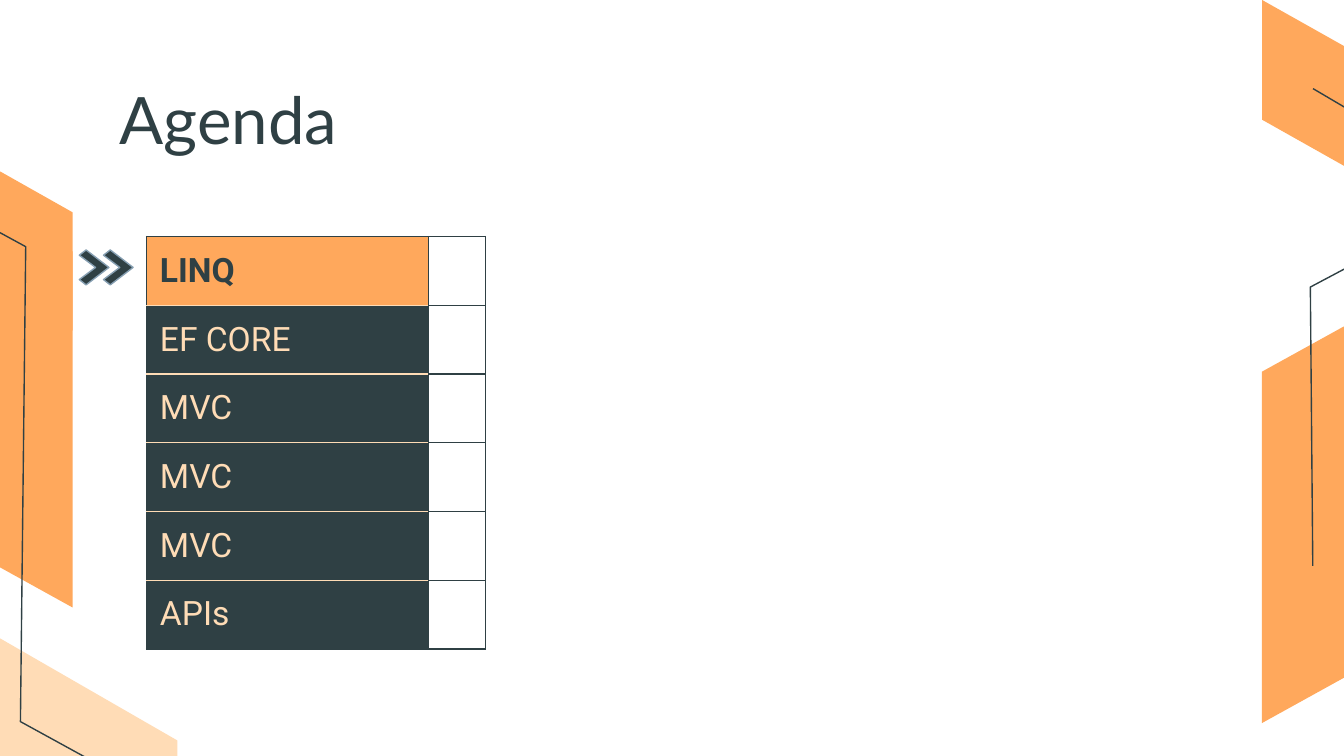
import pptx
import pptx.util
import pptx.dml.color
import pptx.enum.text
import pptx.oxml
import pptx.oxml.ns

HUES = {"dark": "2F4044", "warm": "FFA85C", "pale": "FFDCB6", "edge": "869FB2"}
WIDE, HIGH = pptx.util.Inches(10), pptx.util.Inches(5.625)
TOPICS = ["LINQ", "EF CORE", "MVC", "MVC", "MVC", "APIs"]
THIN = pptx.util.Pt(0.75)


def hue(name):
    """Return the named colour."""
    return pptx.dml.color.RGBColor.from_string(HUES[name])


def scale(box):
    """Turn a box in percent of the slide into whole EMU."""
    left, top, width, height = box
    return [round(part * side / 100) for part, side in
            ((left, WIDE), (top, HIGH), (width, WIDE), (height, HIGH))]


def draw(slide, box, dots, fill=None, line=None):
    """Draw an outline whose points are shares of the box, closed if filled."""
    left, top, width, height = scale(box)
    spots = [(left + x * width, top + y * height) for x, y in dots]
    pen = slide.shapes.build_freeform(*spots[0])
    pen.add_line_segments(spots[1:], close=bool(fill))
    shape = pen.convert_to_shape()
    shape.shadow.inherit = False
    if fill:
        shape.fill.solid()
        shape.fill.fore_color.rgb = hue(fill)
    else:
        shape.fill.background()
    if line:
        shape.line.color.rgb = hue(line)
        shape.line.width = THIN
    else:
        shape.line.fill.background()


def band(slide, box, drop, fill="warm", rise=False):
    """Draw a slanted band whose edges drop or rise by a share of the box."""
    near, far = (drop, 0) if rise else (0, drop)
    dots = [(0, near), (1, far), (1, 1 - drop + far), (0, 1 - drop + near)]
    draw(slide, box, dots, fill)


def frame(slide):
    """Draw the bands and thin lines along both sides."""
    band(slide, (93.9, 0, 7.8, 23.64), 0.33)
    draw(slide, (97.7, 11.73, 7.3, 7.64), [(0, 0), (1, 1)], line="dark")
    band(slide, (-2.6, 81.78, 15.8, 32.36), 0.5, "pale")
    band(slide, (-2.4, 25.6, 7.8, 54.76), 0.14)
    band(slide, (-10.2, 12.44, 15.6, 31.29), 0.5)
    draw(slide, (-16.9, 14.4, 39.2, 101.33),
         [(1, 1), (0.47, 0.8), (0.48, 0.18), (0, 0)], line="dark")
    band(slide, (93.9, 41.6, 7.7, 54.04), 0.14, rise=True)
    draw(slide, (97.5, 20.62, 18.4, 54.22),
         [(0.01, 1), (0, 0.32), (1, 0)], line="dark")


def head(slide, box, text):
    """Place and format the title."""
    title = slide.shapes.title
    title.left, title.top, title.width, title.height = scale(box)
    body = title.text_frame
    body.text = text
    body.auto_size = pptx.enum.text.MSO_AUTO_SIZE.NONE
    body.vertical_anchor = pptx.enum.text.MSO_ANCHOR.TOP
    body.margin_top = 0
    line = body.paragraphs[0]
    line.alignment = pptx.enum.text.PP_ALIGN.LEFT
    line.font.name, line.font.size = "Lato", pptx.util.Pt(35)
    line.font.color.rgb = hue("dark")


def edge(cell, **sides):
    """Give the cell its left, right, top and bottom borders."""
    space = pptx.oxml.ns.nsdecls("a")
    for side in "LRTB":
        tint = HUES[sides.get(side, "dark")]
        cell._tc.get_or_add_tcPr().append(pptx.oxml.parse_xml(
            f'<a:ln{side} {space} w="{THIN}"><a:solidFill>'
            f'<a:srgbClr val="{tint}"/></a:solidFill></a:ln{side}>'))


def label(cell, text, fill, ink, bold):
    """Fill a cell and write its topic."""
    cell.fill.solid()
    cell.fill.fore_color.rgb = hue(fill)
    cell.vertical_anchor = pptx.enum.text.MSO_ANCHOR.MIDDLE
    cell.text = text
    font = cell.text_frame.paragraphs[0].font
    font.name, font.size, font.bold = "Roboto", pptx.util.Pt(18), bold
    font.color.rgb = hue(ink)


def grid(slide, box, topics, now=0):
    """Build the topic table and light up the current row."""
    count = len(topics)
    left, top, width, height = scale(box)
    table = slide.shapes.add_table(count, 2, left, top, width, height).table
    table.first_row = table.horz_banding = False
    for column, share in zip(table.columns, (5, 1)):
        column.width = width * share // 6
    for index, topic in enumerate(topics):
        table.rows[index].height = height // count
        name, blank = table.cell(index, 0), table.cell(index, 1)
        for cell in (name, blank):
            cell.margin_top = cell.margin_bottom = 0
        edge(name, T="pale" if index else "dark",
             B="pale" if index < count - 1 else "dark")
        edge(blank)
        blank.fill.background()
        live = index == now
        fill, ink = ("warm", "dark") if live else ("dark", "pale")
        label(name, topic, fill, ink, live)


def mark(slide, box, step):
    """Draw the double arrow that points at the current row."""
    left, top, width, height = box
    dots = [(0.23, 0), (0, 0.15), (0.55, 0.5), (0, 0.85), (0.23, 1), (1, 0.5)]
    for index in range(2):
        draw(slide, (left + index * step, top, width, height),
             dots, "dark", "edge")


def main():
    """Build and save the slide."""
    deck = pptx.Presentation()
    deck.slide_width, deck.slide_height = WIDE, HIGH
    slide = deck.slides.add_slide(deck.slide_layouts.get_by_name("Title Only"))
    frame(slide)
    head(slide, (7.9, 10.49, 84.3, 10.13), "Agenda")
    grid(slide, (10.9, 31.29, 25.2, 54.58), TOPICS)
    mark(slide, (5.9, 33.07, 2.2, 4.62), 1.8)
    deck.save("out.pptx")


if __name__ == "__main__":
    main()
